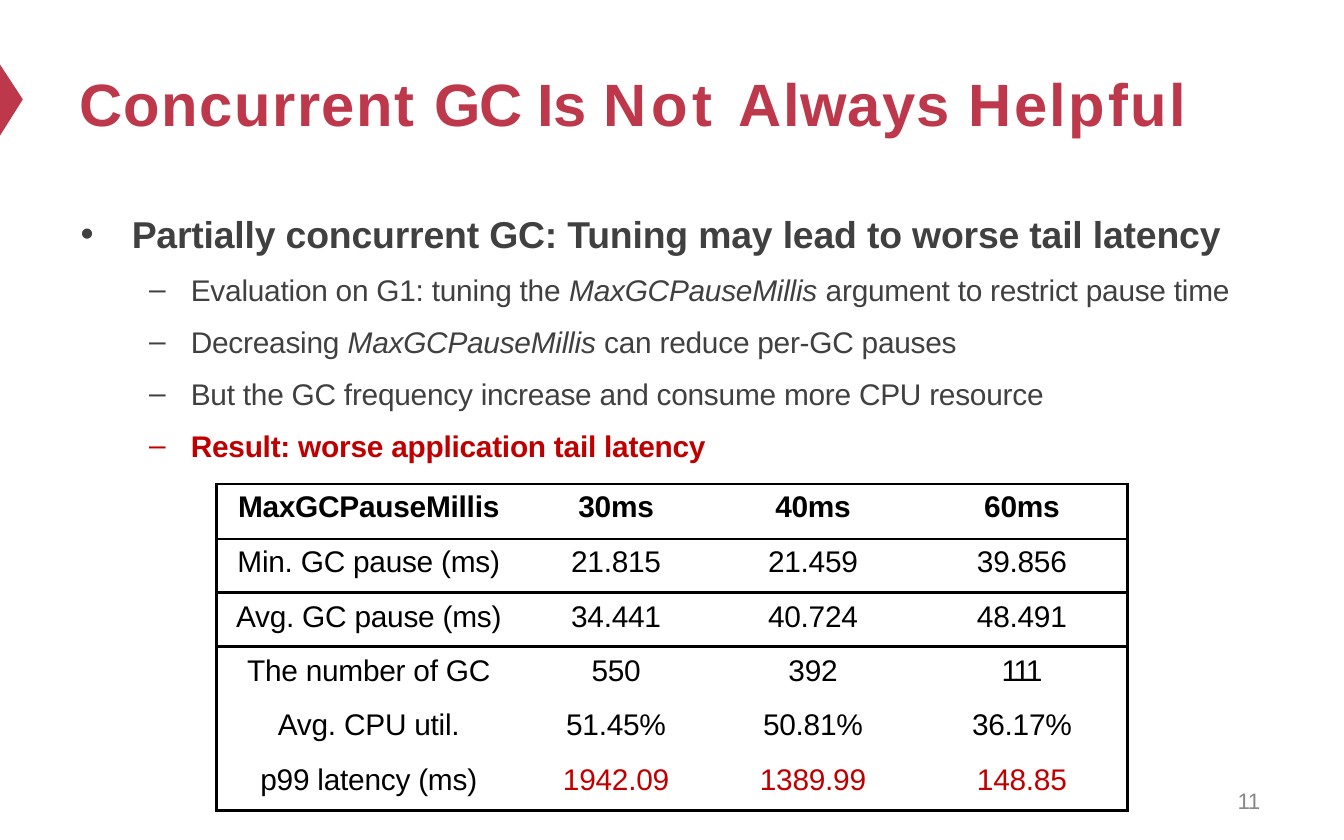
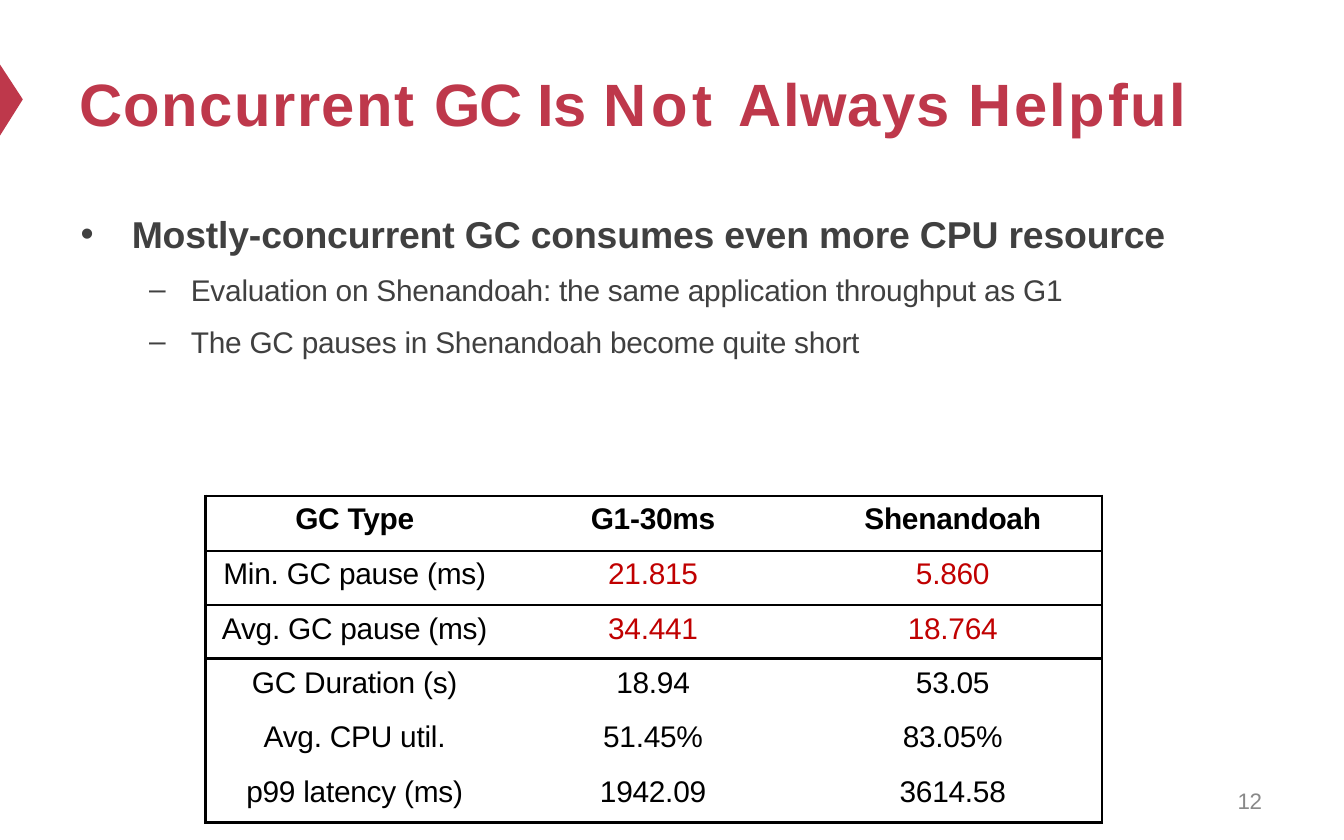
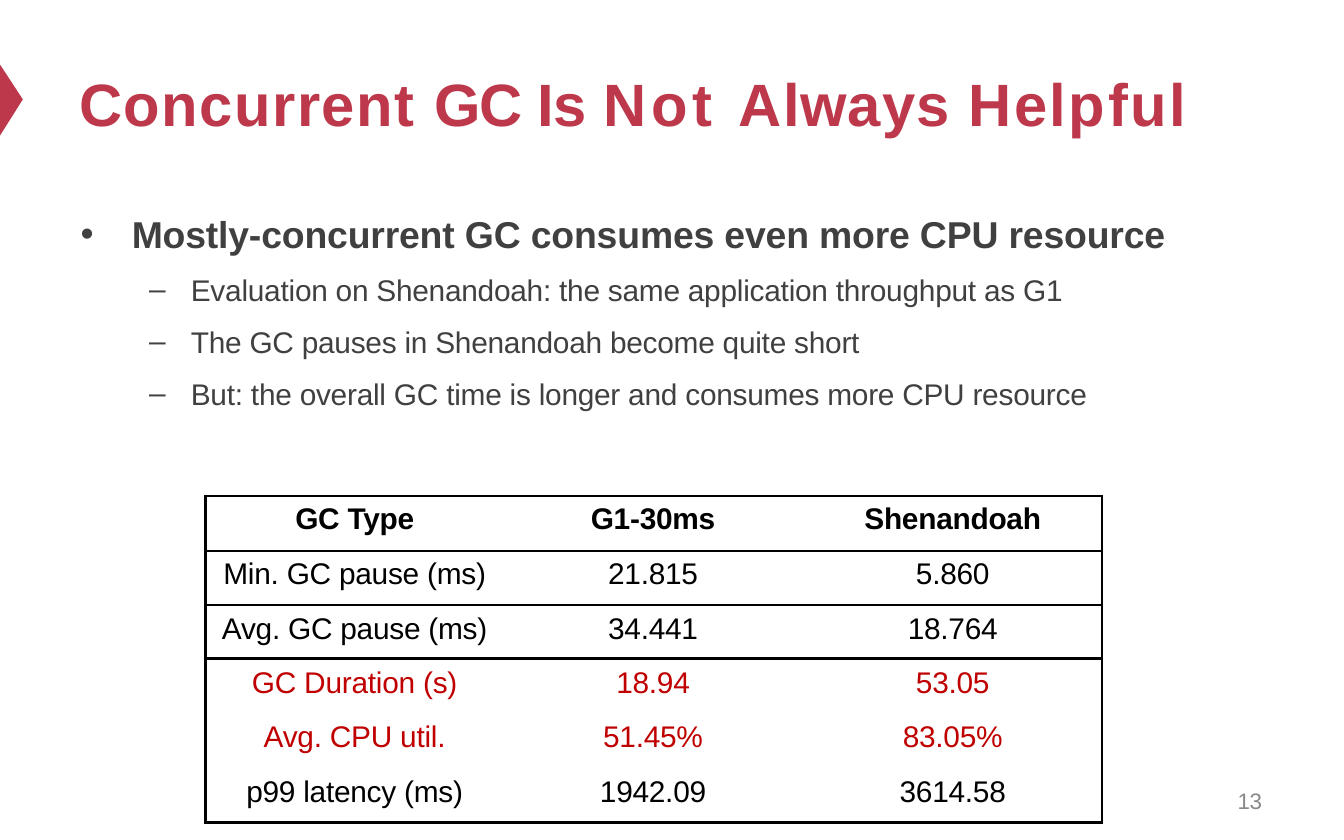
from lxml import etree
from pptx import Presentation
from pptx import util as u
from pptx.dml.color import RGBColor
from pptx.enum import text
from pptx.oxml import ns

CRIMSON, GRAY, RED, BLACK, PALE = "BE384B", "404040", "C00000", "000000", "898989"
PLAIN_TABLE = "{2D5ABB26-0587-4C30-8999-92F81FD0307C}"
TITLE = [("Concurrent ", 0.8), ("GC ", -1), ("Is ", -0.1), ("Not ", 2.6),
         ("Always ", 0.5), ("Helpful", 1.4)]
ROW_HEIGHTS = [0.41, 0.4, 0.4, 0.4, 0.41, 0.41]
RULED_ROWS = (0, 1, 5)


def color(value):
    return RGBColor.from_string(value)


class Deck:
    font = "Arial"

    def __init__(self):
        self.presentation = Presentation()
        self.presentation.slide_width = u.Inches(10)
        self.presentation.slide_height = u.Inches(6.25)
        self.slide = None

    def add_slide(self, number):
        layout = self.presentation.slide_layouts[1]
        self.slide = self.presentation.slides.add_slide(layout)
        self.marker()
        self.title()
        self.page_number(number)

    def place(self, shape, left, top, width, height):
        shape.left, shape.top = u.Inches(left), u.Inches(top)
        shape.width, shape.height = u.Inches(width), u.Inches(height)

    def prepare_frame(self, shape, inset):
        frame = shape.text_frame
        frame.margin_left = frame.margin_right = frame.margin_bottom = 0
        frame.margin_top = u.Inches(inset)
        frame.word_wrap = True
        frame.vertical_anchor = text.MSO_ANCHOR.TOP
        frame.auto_size = text.MSO_AUTO_SIZE.SHAPE_TO_FIT_TEXT
        return frame

    def style_run(self, run, size, fill, bold=False, italic=False, spacing=-0.1):
        run.font.name = self.font
        run.font.size = u.Pt(size)
        run.font.bold = bold
        run.font.italic = italic
        run.font.color.rgb = color(fill)
        run.font._element.set("spc", str(round(spacing * 100)))

    def marker(self):
        builder = self.slide.shapes.build_freeform(0, u.Inches(0.48))
        builder.add_line_segments([(0, u.Inches(1.01)), (u.Inches(0.17), u.Inches(0.74))])
        shape = builder.convert_to_shape()
        shape.shadow.inherit = False
        shape.fill.solid()
        shape.fill.fore_color.rgb = color(CRIMSON)
        shape.line.fill.background()

    def title(self):
        shape = self.slide.shapes.title
        self.place(shape, 0.59, 0.45, 8.27, 0.56)
        paragraph = self.prepare_frame(shape, 0.05).paragraphs[0]
        paragraph.alignment = text.PP_ALIGN.LEFT
        paragraph.space_before = u.Pt(0)
        for words, spacing in TITLE:
            run = paragraph.add_run()
            run.text = words
            self.style_run(run, 32, CRIMSON, bold=True, spacing=spacing)

    def page_number(self, number):
        shape = self.slide.shapes.add_textbox(0, 0, 0, 0)
        self.place(shape, 9.21, 5.83, 0.2, 0.23)
        frame = self.prepare_frame(shape, 0.03)
        frame.text = str(number)
        self.style_run(frame.paragraphs[0].runs[0], 12, PALE, spacing=-0.3)

    def bullet(self, paragraph, symbol, margin, indent):
        properties = paragraph._p.get_or_add_pPr()
        properties.set("marL", str(u.Inches(margin)))
        properties.set("indent", str(u.Inches(indent)))
        etree.SubElement(properties, ns.qn("a:buFont")).set("typeface", self.font)
        etree.SubElement(properties, ns.qn("a:buChar")).set("char", symbol)

    def body(self, heading, points, width, height, result=None):
        shape = self.slide.placeholders[1]
        self.place(shape, 0.59, 1.38, width, height)
        frame = self.prepare_frame(shape, 0.19)
        paragraph = frame.paragraphs[0]
        paragraph.text = heading
        self.bullet(paragraph, "•", 0.39, -0.38)
        paragraph.space_before = u.Pt(0)
        self.style_run(paragraph.runs[0], 20, GRAY, bold=True)
        for point in points:
            important = point == result
            paragraph = frame.add_paragraph()
            paragraph.level = 1
            self.bullet(paragraph, "–", 0.83, -0.31)
            paragraph.space_before = u.Pt(8.6)
            for index, words in enumerate(point.split("*")):
                run = paragraph.add_run()
                run.text = words
                self.style_run(run, 16, RED if important else GRAY,
                               bold=important, italic=index % 2 == 1)

    def borders(self, cell, sides):
        properties = cell._tc.get_or_add_tcPr()
        for index, side in enumerate(sides):
            line = etree.Element(ns.qn("a:ln" + side), w=str(u.Pt(1.5)))
            fill = etree.SubElement(line, ns.qn("a:solidFill"))
            etree.SubElement(fill, ns.qn("a:srgbClr")).set("val", BLACK)
            properties.insert(index, line)

    def cell(self, cell, words, row, shift, fill):
        cell.fill.background()
        cell.margin_left = cell.margin_right = cell.margin_bottom = 0
        cell.margin_top = u.Inches(0.05 if row < 2 else 0.06)
        cell.text = words
        paragraph = cell.text_frame.paragraphs[0]
        paragraph.alignment = text.PP_ALIGN.CENTER
        side = "marL" if shift > 0 else "marR"
        paragraph._p.get_or_add_pPr().set(side, str(u.Inches(abs(shift))))
        self.style_run(paragraph.runs[0], 16, fill, bold=row == 0,
                       spacing=-1.2 if words == "111" else -0.1)

    def table(self, left, top, widths, shifts, rows, highlights):
        frame = self.slide.shapes.add_table(
            len(rows), len(widths), u.Inches(left), u.Inches(top),
            u.Inches(sum(widths)), u.Inches(sum(ROW_HEIGHTS)))
        table = frame.table
        table.first_row = table.horz_banding = False
        table._tbl.tblPr.find(ns.qn("a:tableStyleId")).text = PLAIN_TABLE
        for column, width in zip(table.columns, widths):
            column.width = u.Inches(width)
        for row, values in enumerate(rows):
            table.rows[row].height = u.Inches(ROW_HEIGHTS[row])
            for column, words in enumerate(values):
                cell = table.cell(row, column)
                fill = RED if (row, column) in highlights else BLACK
                self.cell(cell, words, row, shifts[column], fill)
                sides = [("L", column == 0), ("R", column == len(widths) - 1),
                         ("T", row == 0 or row - 1 in RULED_ROWS),
                         ("B", row in RULED_ROWS)]
                self.borders(cell, [side for side, shown in sides if shown])


PAUSE_ROWS = [
    ["MaxGCPauseMillis", "30ms", "40ms", "60ms"],
    ["Min. GC pause (ms)", "21.815", "21.459", "39.856"],
    ["Avg. GC pause (ms)", "34.441", "40.724", "48.491"],
    ["The number of GC", "550", "392", "111"],
    ["Avg. CPU util.", "51.45%", "50.81%", "36.17%"],
    ["p99 latency (ms)", "1942.09", "1389.99", "148.85"],
]
COLLECTOR_ROWS = [
    ["GC Type", "G1-30ms", "Shenandoah"],
    ["Min. GC pause (ms)", "21.815", "5.860"],
    ["Avg. GC pause (ms)", "34.441", "18.764"],
    ["GC Duration (s)", "18.94", "53.05"],
    ["Avg. CPU util.", "51.45%", "83.05%"],
    ["p99 latency (ms)", "1942.09", "3614.58"],
]
PAUSE_RESULT = "Result: worse application tail latency"
PAUSE_POINTS = [
    "Evaluation on G1: tuning the *MaxGCPauseMillis* argument to restrict pause time",
    "Decreasing *MaxGCPauseMillis* can reduce per-GC pauses",
    "But the GC frequency increase and consume more CPU resource",
    PAUSE_RESULT,
]
COLLECTOR_POINTS = [
    "Evaluation on Shenandoah: the same application throughput as G1",
    "The GC pauses in Shenandoah become quite short",
    "But: the overall GC time is longer and consumes more CPU resource",
]


def collector_slide(deck, number, points, height, highlights):
    deck.add_slide(number)
    deck.body("Mostly-concurrent GC consumes even more CPU resource",
              points, 8.15, height)
    deck.table(1.53, 3.69, [2.49, 1.86, 2.32], [-0.27, -0.18, 0.1],
               COLLECTOR_ROWS, highlights)


def main():
    deck = Deck()
    deck.add_slide(11)
    deck.body("Partially concurrent GC: Tuning may lead to worse tail latency",
              PAUSE_POINTS, 8.71, 2, PAUSE_RESULT)
    deck.table(1.61, 3.6, [2.36, 1.35, 1.52, 1.55], [-0.09, -0.12, -0.06, -0.02],
               PAUSE_ROWS, [(5, column) for column in (1, 2, 3)])
    collector_slide(deck, 12, COLLECTOR_POINTS[:2], 1.25,
                    [(row, column) for row in (1, 2) for column in (1, 2)])
    collector_slide(deck, 13, COLLECTOR_POINTS, 1.63,
                    [(row, column) for row in (3, 4) for column in (0, 1, 2)])
    deck.presentation.save("out.pptx")


if __name__ == "__main__":
    main()
